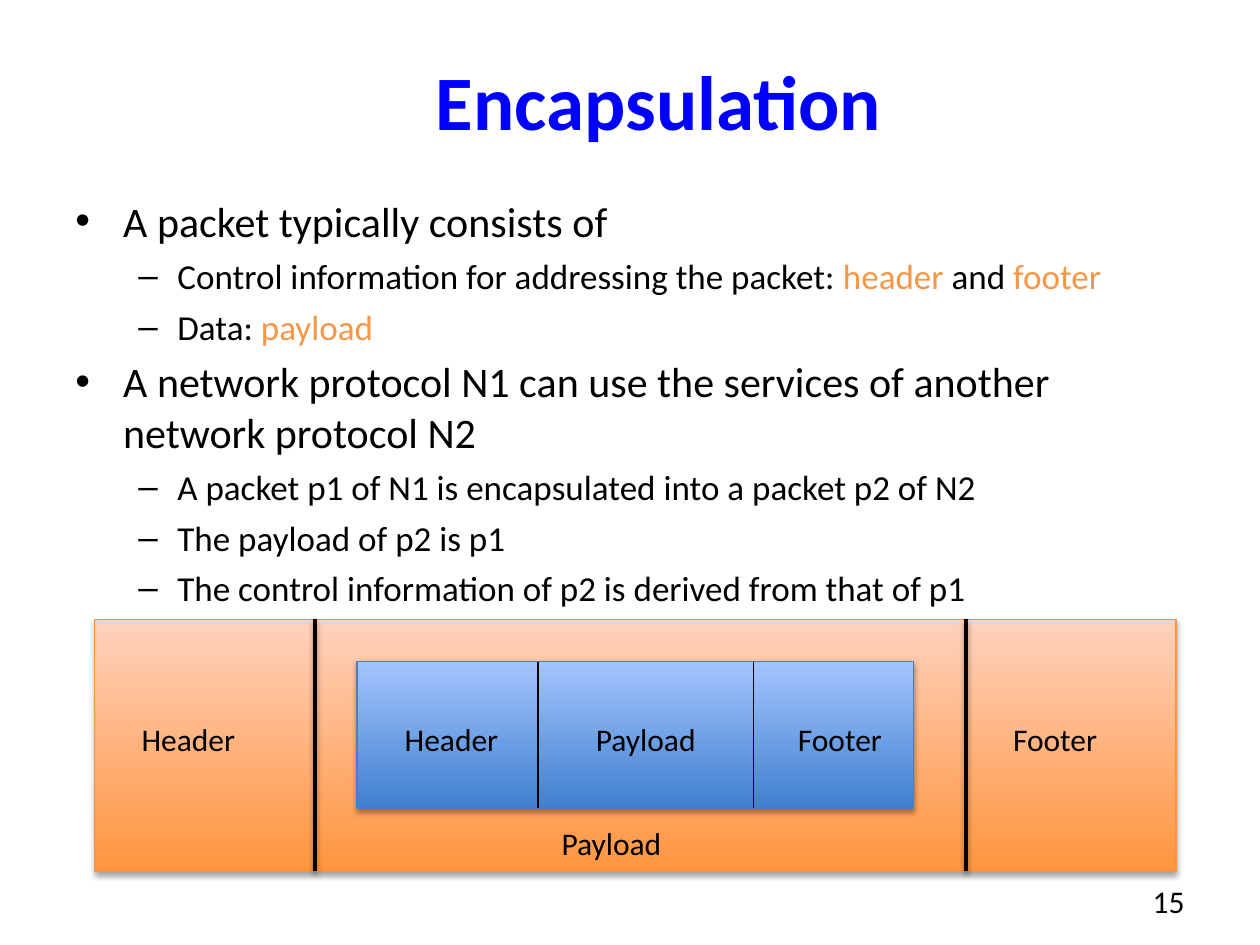
from lxml import etree
from pptx import Presentation, util as u
from pptx.dml.color import RGBColor
from pptx.enum import shapes, text
from pptx.oxml import ns

COLORS = {
    "title": "0000FF", "text": "000000", "accent": "F79646",
    "orange_dark": "FF953E", "orange_light": "FFD2BD", "orange_line": "F69240",
    "blue_dark": "3F80CE", "blue_light": "A4C4FF", "blue_line": "4B7EBC",
}
COLUMNS, ROWS = 120, 90
LEFT, CENTER, RIGHT = text.PP_ALIGN.LEFT, text.PP_ALIGN.CENTER, text.PP_ALIGN.RIGHT


def color(name):
    return RGBColor.from_string(COLORS[name])


class Deck:
    """Holds the style and the current slide; lengths are grid columns and rows."""
    font = "Calibri"
    # Bullet, left margin, hanging indent and text size of each level
    levels = [("•", 0.38, -0.38, 24), ("–", 0.81, -0.31, 20)]

    def __init__(self):
        self.presentation = Presentation()
        self.presentation.slide_width = u.Inches(10)
        self.presentation.slide_height = u.Inches(7.5)
        self.slide = self.presentation.slides.add_slide(self.presentation.slide_layouts[5])

    def x(self, columns):
        return round(self.presentation.slide_width * columns / COLUMNS)

    def y(self, rows):
        return round(self.presentation.slide_height * rows / ROWS)

    def box(self, left, top, width, height):
        return self.x(left), self.y(top), self.x(width), self.y(height)

    def frame(self, shape, margins):
        frame = shape.text_frame
        frame.word_wrap = True
        frame.auto_size = text.MSO_AUTO_SIZE.NONE
        (frame.margin_left, frame.margin_top,
         frame.margin_right, frame.margin_bottom) = map(u.Inches, margins)
        return frame

    def run(self, paragraph, words, size, tint="text", bold=False):
        run = paragraph.add_run()
        run.text = words
        run.font.name, run.font.size, run.font.bold = self.font, u.Pt(size), bold
        run.font.color.rgb = color(tint)

    def title(self, words, *place):
        shape = self.slide.shapes.title
        shape.left, shape.top, shape.width, shape.height = self.box(*place)
        frame = self.frame(shape, (0.1, 0.05, 0.14, 0.05))
        frame.vertical_anchor = text.MSO_ANCHOR.MIDDLE
        frame.paragraphs[0].alignment = CENTER
        self.run(frame.paragraphs[0], words, 44, "title", True)

    def bullets(self, items, *place):
        shape = self.slide.shapes.add_textbox(*self.box(*place))
        frame = self.frame(shape, (0.1, 0.05, 0.14, 0.05))
        for index, (level, runs) in enumerate(items):
            paragraph = frame.add_paragraph() if index else frame.paragraphs[0]
            bullet, margin, indent, size = self.levels[level]
            paragraph.level = level
            properties = paragraph._p.get_or_add_pPr()
            properties.set("marL", str(u.Inches(margin)))
            properties.set("indent", str(u.Inches(indent)))
            etree.SubElement(properties, ns.qn("a:buFont"), typeface="Arial")
            etree.SubElement(properties, ns.qn("a:buChar"), char=bullet)
            paragraph.space_before = u.Pt(5 if index else 0)
            for words, tint in runs:
                self.run(paragraph, words, size, tint)

    def label(self, words, *place, align=LEFT, margins=(0.04, 0, 0.04, 0)):
        shape = self.slide.shapes.add_textbox(*self.box(*place))
        paragraph = self.frame(shape, margins).paragraphs[0]
        paragraph.alignment = align
        self.run(paragraph, words, 18)

    def shadow(self, effects, opacity, distance):
        outer = etree.SubElement(
            effects, ns.qn("a:outerShdw"), blurRad=str(u.Pt(3.1)),
            dist=str(u.Pt(distance)), dir="5400000", rotWithShape="0")
        shade = etree.SubElement(outer, ns.qn("a:srgbClr"), val=COLORS["text"])
        etree.SubElement(shade, ns.qn("a:alpha"), val=str(opacity * 1000))

    def packet(self, hue, *place):
        shape = self.slide.shapes.add_shape(shapes.MSO_SHAPE.RECTANGLE, *self.box(*place))
        shape.fill.gradient()
        shape.fill.gradient_angle = 90
        for stop, tone, position in zip(shape.fill.gradient_stops, ("dark", "light"), (0, 1)):
            stop.color.rgb = color(f"{hue}_{tone}")
            stop.position = position
        shape.line.color.rgb = color(f"{hue}_line")
        shape.line.width = u.Pt(0.75)
        shape.shadow.inherit = False
        self.shadow(shape._element.spPr.find(ns.qn("a:effectLst")), 35, 1.8)

    def divider(self, column, top, bottom, width, shaded=False):
        line = self.slide.shapes.add_connector(
            shapes.MSO_CONNECTOR.STRAIGHT,
            self.x(column), self.y(top), self.x(column), self.y(bottom))
        line.line.color.rgb = color("text")
        line.line.width = u.Pt(width)
        effects = etree.SubElement(line._element.spPr, ns.qn("a:effectLst"))
        if shaded:
            self.shadow(effects, 38, 1.6)


def main():
    deck = Deck()
    deck.title("Encapsulation", 6, 0, 114, 19)

    # Explanation
    deck.bullets([
        (0, [("A packet typically consists of", "text")]),
        (1, [("Control information for addressing the packet: ", "text"),
             ("header", "accent"), (" and ", "text"), ("footer", "accent")]),
        (1, [("Data: ", "text"), ("payload", "accent")]),
        (0, [("A network protocol N1 can use the services of another "
              "network protocol N2", "text")]),
        (1, [("A packet p1 of N1 is encapsulated into a packet p2 of N2", "text")]),
        (1, [("The payload of p2 is p1", "text")]),
        (1, [("The control information of p2 is derived from that of p1", "text")]),
    ], 6, 18, 108, 42)

    # Outer packet
    label_row, label_height = 68.6, 4.7
    deck.packet("orange", 9, 59, 103, 24)
    for column in (30, 92):
        deck.divider(column, 59, 83, 2, shaded=True)
    deck.label("Header", 13, label_row, 14, label_height)
    deck.label("Payload", 53, 78.5, 15, label_height)
    deck.label("Footer", 96, label_row, 12, label_height)

    # Inner packet
    deck.packet("blue", 34, 63, 53, 14)
    for words, column, width in (("Header", 36, 14), ("Payload", 54.5, 14), ("Footer", 74, 12)):
        deck.label(words, column, label_row, width, label_height, align=CENTER)
    for column in (51.25, 71.75):
        deck.divider(column, 63, 77, 1)

    # Slide number
    deck.label("15", 86, 83.4, 28, 4.8, align=RIGHT, margins=(0.1, 0.05, 0.1, 0.05))
    deck.presentation.save("out.pptx")


if __name__ == "__main__":
    main()
